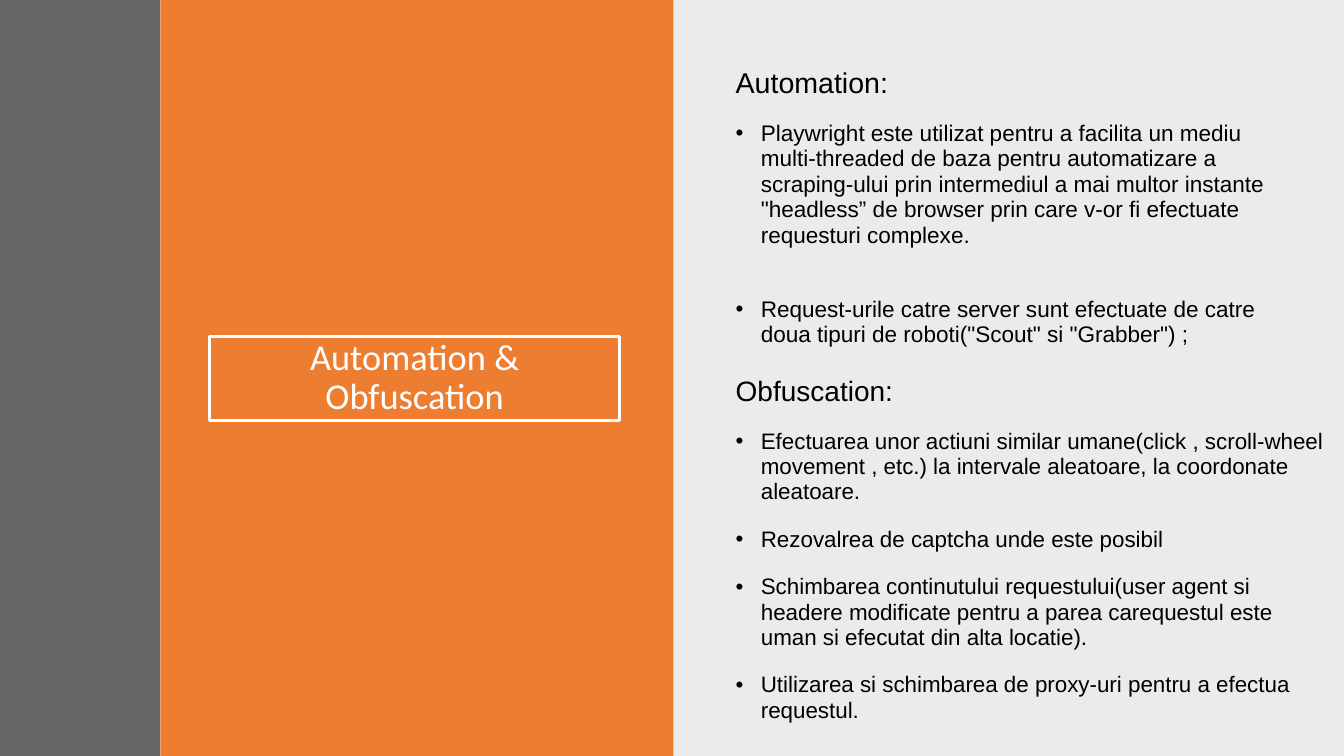
from dataclasses import dataclass
from lxml.etree import SubElement
from pptx import Presentation
from pptx.dml.color import RGBColor as Rgb
from pptx.enum.shapes import MSO_SHAPE as Kind
from pptx.enum.text import MSO_ANCHOR as Anchor, PP_ALIGN as Align
from pptx.oxml.ns import qn
from pptx.util import Pt


@dataclass(frozen=True)
class Theme:
    pale: str = "EBEBEB"
    accent: str = "ED7D31"
    gray: str = "666666"
    white: str = "FFFFFF"
    ink: str = "000000"
    head: str = "Calibri"
    body: str = "Arial"
    title: float = 26
    label: float = 20.4
    item: float = 16.1
    indent: float = 18


class Deck:
    """Draws styled elements on the current slide."""

    def __init__(self, theme):
        self.theme = theme
        self.file = Presentation()
        self.file.slide_width, self.file.slide_height = Pt(960), Pt(540)
        self.slide = self.file.slides.add_slide(self.file.slide_layouts[6])

    def panel(self, left, width, color):
        box = self.slide.shapes.add_shape(Kind.RECTANGLE, Pt(left), 0, Pt(width), Pt(540))
        box.shadow.inherit = False
        box.fill.solid()
        box.fill.fore_color.rgb = Rgb.from_string(color)
        box.line.fill.background()

    def text(self, left, top, width, height):
        box = self.slide.shapes.add_textbox(Pt(left), Pt(top), Pt(width), Pt(height))
        box.text_frame.word_wrap = True
        return box

    def style(self, para, font, size, color, space):
        para.line_spacing = space
        for run in para.runs:
            run.font.name, run.font.size = font, Pt(size)
            run.font.color.rgb = Rgb.from_string(color)

    def title(self, text, *area):
        look = self.theme
        box = self.text(*area)
        box.line.color.rgb = Rgb.from_string(look.white)
        box.line.width = Pt(2)
        box.text_frame.vertical_anchor = Anchor.MIDDLE
        para = box.text_frame.paragraphs[0]
        para.text = text
        para.alignment = Align.CENTER
        self.style(para, look.head, look.title, look.white, 0.9)

    def bullet(self, para):
        props = para._p.get_or_add_pPr()
        props.set("marL", str(Pt(self.theme.indent)))
        props.set("indent", str(-Pt(self.theme.indent)))
        SubElement(props, qn("a:buFont"), typeface=self.theme.body)
        SubElement(props, qn("a:buChar"), char="•")

    def section(self, label, items, area, gap, trim=0):
        look = self.theme
        frame = self.text(*area).text_frame
        para = frame.paragraphs[0]
        para.text = label
        para.space_before, para.space_after = Pt(10), Pt(6)
        self.style(para, look.body, look.label - trim, look.ink, 0.7)
        for order, item in enumerate(items):
            para = frame.add_paragraph()
            para.text = item
            para.space_before = Pt(gap if order else 10)
            self.style(para, look.body, look.item - trim / 4, look.ink, 0.94)
            self.bullet(para)


def main():
    look = Theme()
    deck = Deck(look)
    deck.panel(480, 480, look.pale)
    deck.panel(114.5, 366.5, look.accent)
    deck.panel(0, 114.5, look.gray)
    deck.title("Automation & Obfuscation", 149.75, 240.5, 293, 59.75)
    deck.section("Automation:", [
        "Playwright este utilizat pentru a facilita un mediu multi-threaded de baza "
        "pentru automatizare a scraping-ului prin intermediul a mai multor instante "
        "\"headless” de browser prin care v-or fi efectuate requesturi complexe.",
        "Request-urile catre server sunt efectuate de catre doua tipuri de "
        "roboti(\"Scout\" si \"Grabber\") ;",
    ], (518.4, 49.7, 398, 201), 35)
    deck.section("Obfuscation:", [
        "Efectuarea unor actiuni similar umane(click , scroll-wheel movement , etc.) "
        "la intervale aleatoare, la coordonate aleatoare.",
        "Rezovalrea de captcha unde este posibil",
        "Schimbarea continutului requestului(user agent si headere modificate pentru "
        "a parea carequestul este uman si efecutat din alta locatie).",
        "Utilizarea si schimbarea de proxy-uri pentru a efectua requestul.",
    ], (518.4, 270, 441.6, 262), 16, 0.4)
    deck.file.save("out.pptx")


if __name__ == "__main__":
    main()
